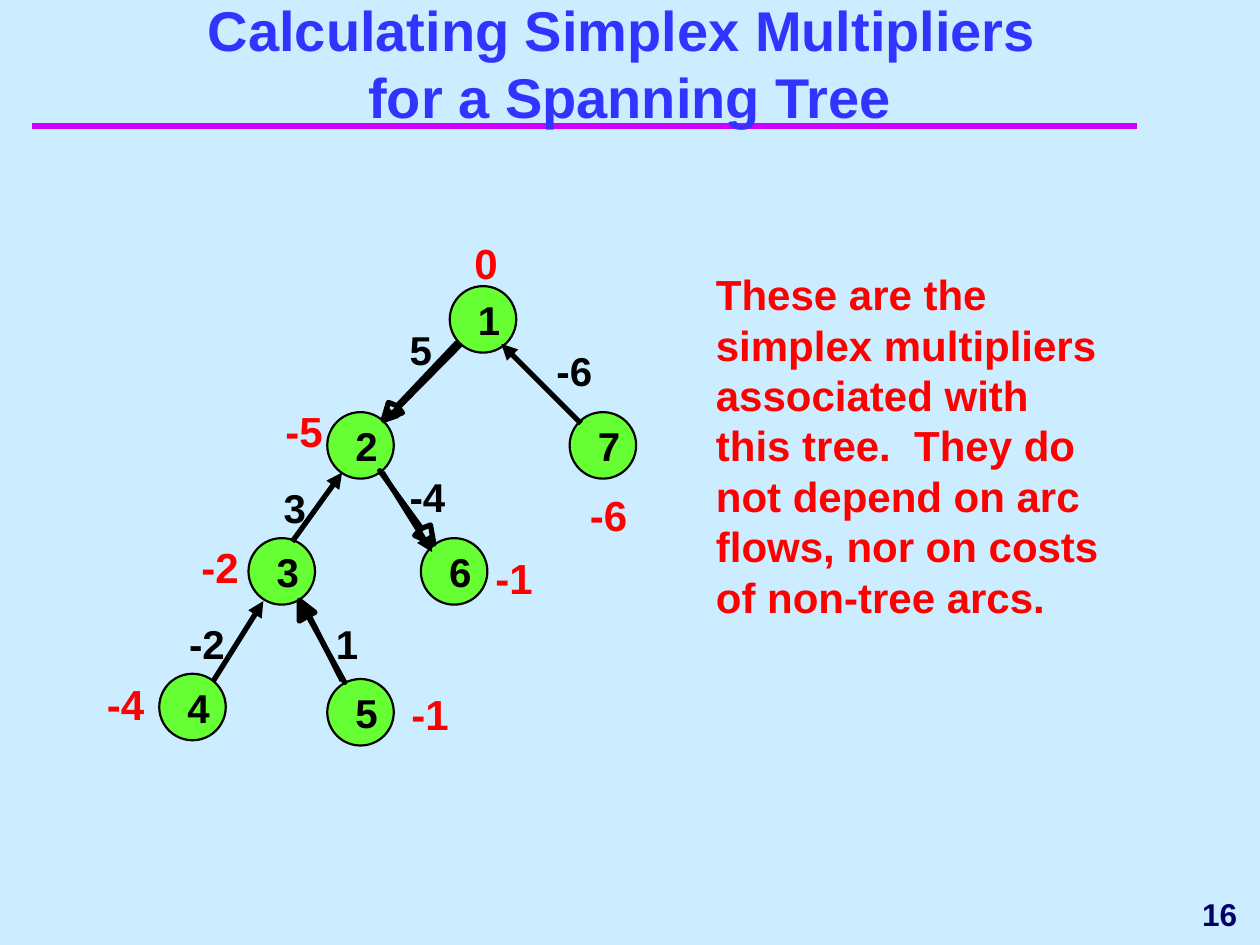
from lxml import etree
from pptx import Presentation
from pptx.dml.color import RGBColor
from pptx.enum import shapes, text
from pptx.oxml.ns import qn
from pptx.util import Pt

SKY = RGBColor(0xCC, 0xEC, 0xFF)
MAGENTA = RGBColor(0xCC, 0x00, 0xFF)
BLUE = RGBColor(0x33, 0x33, 0xFF)
NAVY = RGBColor(0x00, 0x00, 0x66)
GREEN = RGBColor(0x66, 0xFF, 0x33)
RED = RGBColor(0xFF, 0x00, 0x00)
BLACK = RGBColor(0x00, 0x00, 0x00)

prs = Presentation()
prs.slide_width, prs.slide_height = Pt(720), Pt(540)
s = prs.slides.add_slide(prs.slide_layouts[5])
s.background.fill.solid()
s.background.fill.fore_color.rgb = SKY


def add_text(words, x, y, w, h, size, color, inset=True):
    sp = s.shapes.add_textbox(Pt(x), Pt(y), Pt(w), Pt(h))
    tf = sp.text_frame
    tf.word_wrap = inset
    if not inset:
        tf.margin_left = tf.margin_right = tf.margin_top = tf.margin_bottom = 0
    p = tf.paragraphs[0]
    p.text = words
    p.font.name, p.font.size, p.font.bold = "Arial", Pt(size), True
    p.font.color.rgb = color
    return tf


def add_line(x1, y1, x2, y2, color, width):
    cx = s.shapes.add_connector(shapes.MSO_CONNECTOR.STRAIGHT,
                                Pt(x1), Pt(y1), Pt(x2), Pt(y2))
    cx.line.color.rgb, cx.line.width = color, Pt(width)
    etree.SubElement(cx._element.spPr, qn("a:effectLst"))
    return cx


# Title, with the rule behind it
rule = add_line(18, 72, 650, 72, MAGENTA, 4)
s.shapes._spTree.insert(2, rule._element)
title = s.shapes.title
title.left, title.top, title.width, title.height = Pt(0), Pt(48), Pt(720), Pt(30)
tf = title.text_frame
tf.text = "Calculating Simplex Multipliers \vfor a Spanning Tree"
tf.auto_size = text.MSO_AUTO_SIZE.NONE
tf.vertical_anchor = text.MSO_ANCHOR.BOTTOM
p = tf.paragraphs[0]
p.alignment = text.PP_ALIGN.CENTER
p.font.name, p.font.size, p.font.bold = "Arial", Pt(32), True
p.font.color.rgb = BLUE

# Tree nodes: number, left, top
NODES = [("1", 257, 163.5), ("3", 142, 307.5), ("6", 240.5, 307.5),
         ("4", 91, 385), ("5", 187, 388), ("2", 187, 235.5), ("7", 325.5, 235.5)]
for number, x, y in NODES:
    sp = s.shapes.add_shape(shapes.MSO_SHAPE.OVAL, Pt(x), Pt(y), Pt(38), Pt(38))
    sp.shadow.inherit = False
    sp.fill.solid()
    sp.fill.fore_color.rgb = GREEN
    sp.line.color.rgb, sp.line.width = BLACK, Pt(1.25)
    tf = sp.text_frame
    tf.word_wrap = False
    tf.margin_left = Pt(7)
    tf.margin_right = tf.margin_top = tf.margin_bottom = 0
    p = tf.paragraphs[0]
    p.text, p.alignment = number, text.PP_ALIGN.CENTER
    p.font.name, p.font.size, p.font.bold = "Arial", Pt(23), True
    p.font.color.rgb = BLACK

# Arc costs
COSTS = [("5", 234, 186), ("-6", 318, 198), ("-2", 108, 354),
         ("-4", 234, 270), ("1", 192, 354), ("3", 162, 276)]
for cost, x, y in COSTS:
    add_text(cost, x, y, 13 * len(cost), 27, 23, BLACK, inset=False)

# Outlined arrows on arcs 1-2, 5-3 and 2-6: tail, neck, barb, tip, barb
OUTLINES = [
    [(261.4, 195.8), (226.8, 231.8), (222.5, 229.7), (218.9, 239.8), (230.4, 236.2)],
    [(196.6, 389.5), (175.7, 352.1), (180, 349.9), (170.6, 343.4), (170.6, 355)],
    [(217.4, 269.3), (241.2, 301.7), (236.9, 306), (247.7, 311), (246.2, 299.5)],
]
for points in OUTLINES:
    tail, neck = points[:2]
    fb = s.shapes.build_freeform(*tail, scale=Pt(1))
    fb.add_line_segments(points[1:] + [neck, tail], close=True)
    sp = fb.convert_to_shape()
    sp.shadow.inherit = False
    sp.fill.background()
    sp.line.color.rgb, sp.line.width = BLACK, Pt(3)

# Explanation
add_text("These are the simplex multipliers associated with this tree.  They do "
         "not depend on arc flows, nor on costs of non-tree arcs.",
         402, 150, 234, 209, 24, RED)

# Simplex multipliers
MULTIPLIERS = [("0", 264, 132), ("-5", 156, 228), ("-6", 330, 276), ("-2", 108, 306),
               ("-1", 276, 312), ("-4", 54, 384), ("-1", 228, 390)]
for value, x, y in MULTIPLIERS:
    add_text(value, x, y, 72, 36, 24, RED)

# Directed arcs
ARCS = [(263.5, 196.5, 218.5, 242), (218.5, 270, 247, 315.5),
        (195.5, 389, 172.5, 343.5), (332, 242, 286.5, 196.5),
        (167, 309.5, 195.5, 270), (122, 389, 150.5, 343.5)]
for arc in ARCS:
    cx = add_line(*arc, BLACK, 3)
    etree.SubElement(cx.line._get_or_add_ln(), qn("a:tailEnd"), type="triangle")

# Slide number
tf = add_text("16", 576, 504, 138, 36, 18, NAVY)
tf.vertical_anchor = text.MSO_ANCHOR.MIDDLE
tf.paragraphs[0].alignment = text.PP_ALIGN.RIGHT

prs.save("out.pptx")
